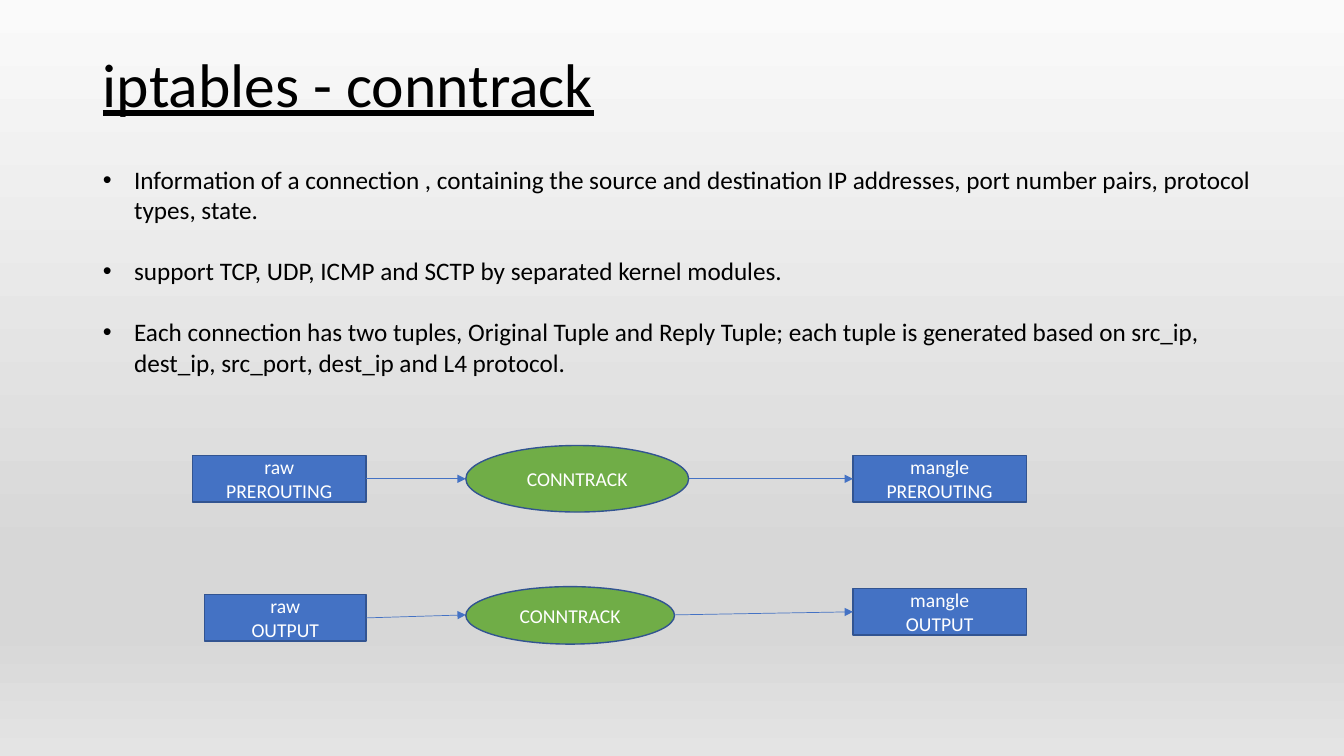
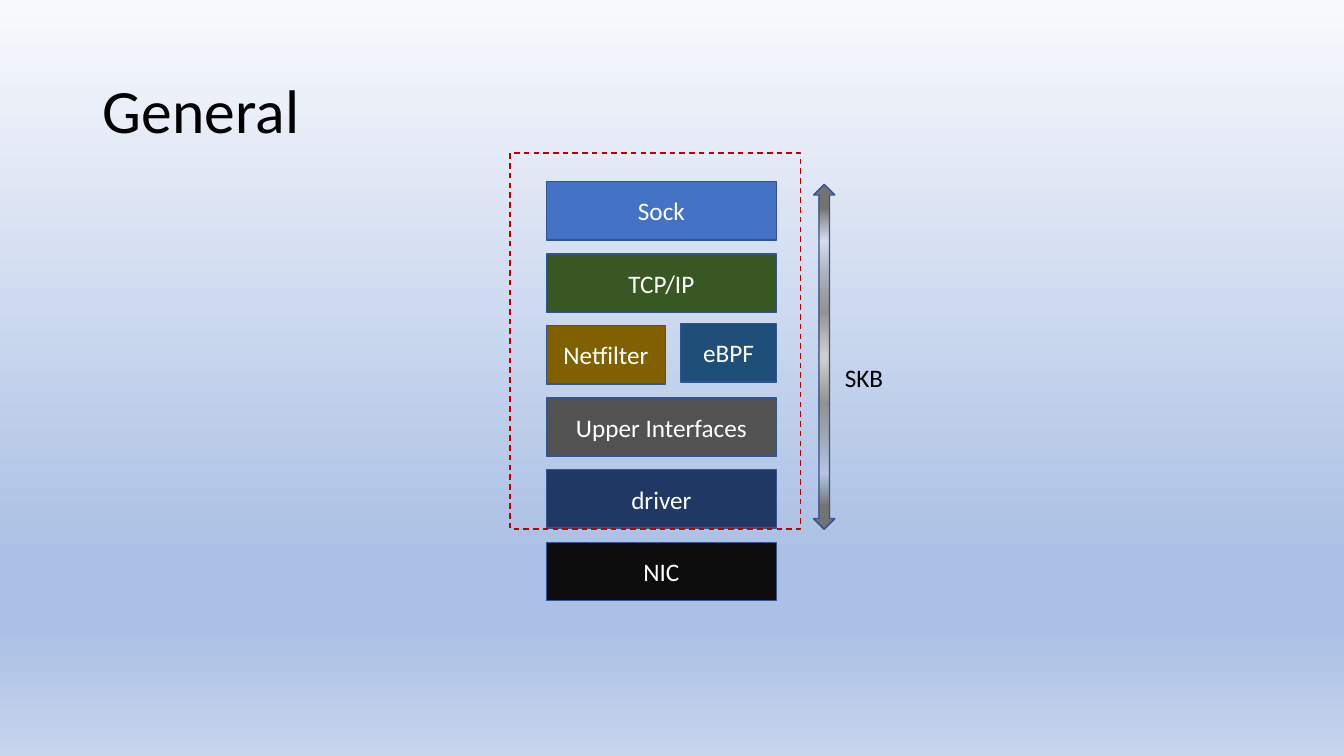
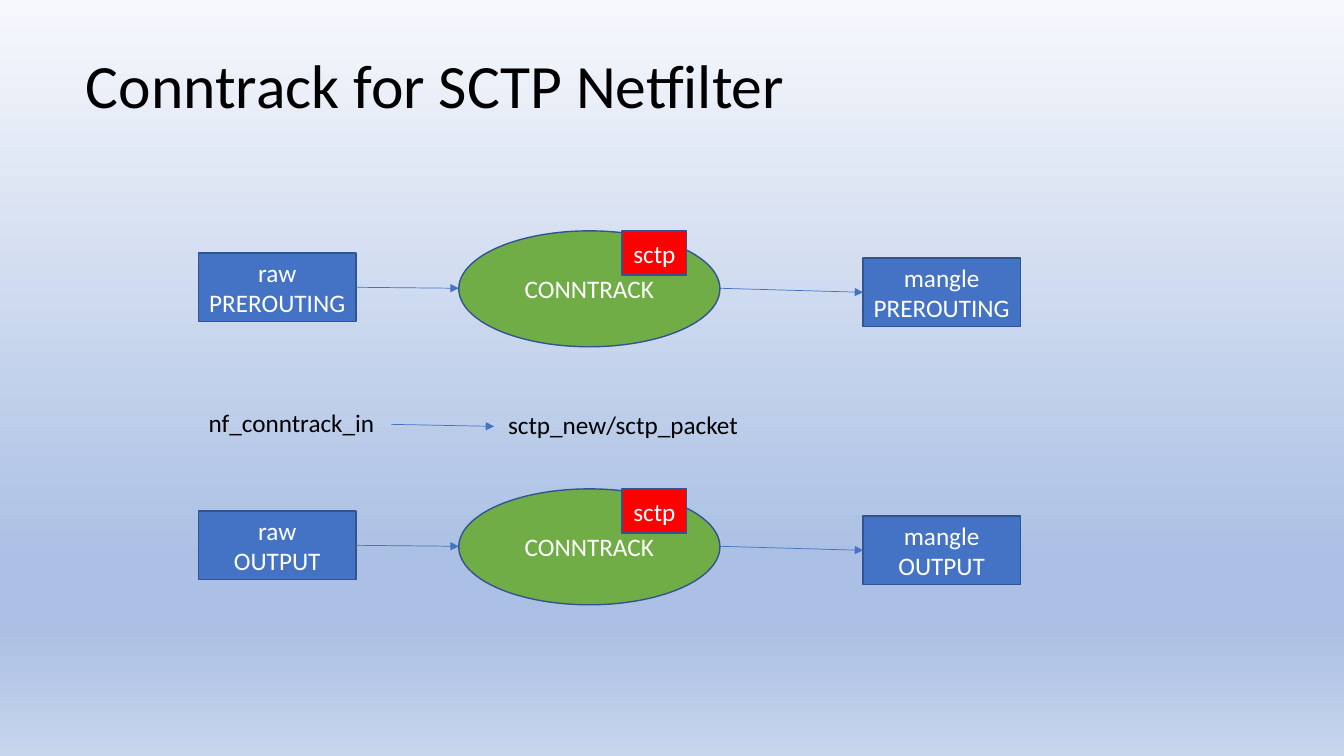
from lxml import etree
from pptx import Presentation
from pptx.dml.color import RGBColor
from pptx.enum.dml import MSO_LINE
from pptx.enum.shapes import MSO_CONNECTOR, MSO_SHAPE
from pptx.enum.text import MSO_ANCHOR, MSO_AUTO_SIZE, PP_ALIGN
from pptx.oxml.ns import qn
from pptx.util import Pt

RECT, ELLIPSE, UP_DOWN = MSO_SHAPE.RECTANGLE, MSO_SHAPE.OVAL, MSO_SHAPE.UP_DOWN_ARROW
STRAIGHT, DASH = MSO_CONNECTOR.STRAIGHT, MSO_LINE.DASH
LEFT, CENTER = PP_ALIGN.LEFT, PP_ALIGN.CENTER
TOP, MIDDLE = MSO_ANCHOR.TOP, MSO_ANCHOR.MIDDLE
NO_FIT = MSO_AUTO_SIZE.NONE
LEFT_SIDE, RIGHT_SIDE = 1, 3
TITLE_AND_BODY, TITLE_ONLY = 1, 5

FONT = "Calibri"
BLACK, WHITE, RED = "000000", "FFFFFF", "FF0000"
BLUE, GREEN, OUTLINE, DARK_RED = "4472C4", "70AD47", "325491", "C00000"


def px(length):
    return length * 9144


def color(value):
    return RGBColor.from_string(value)


class Deck:
    def __init__(self):
        self.file = Presentation()
        self.file.slide_width, self.file.slide_height = px(1333), px(750)
        self.slide = None

    def new_slide(self, layout, top, middle, bottom):
        self.slide = self.file.slides.add_slide(self.file.slide_layouts[layout])
        stops = [(0, top, 100), (74, middle, 100), (83, middle, 100), (100, bottom, 100)]
        self.gradient(self.slide.background.fill, self.slide.element, stops)

    def gradient(self, fill, owner, stops, radial=False):
        fill.gradient()
        grad = owner.find(".//" + qn("a:gradFill"))
        for child in list(grad):
            grad.remove(child)
        stop_list = etree.SubElement(grad, qn("a:gsLst"))
        for position, value, opacity in stops:
            stop = etree.SubElement(stop_list, qn("a:gs"), pos=str(position * 1000))
            tone = etree.SubElement(stop, qn("a:srgbClr"), val=value)
            if opacity < 100:
                etree.SubElement(tone, qn("a:alpha"), val=str(opacity * 1000))
        if radial:
            circle = etree.SubElement(grad, qn("a:path"), path="circle")
            etree.SubElement(circle, qn("a:fillToRect"), l="50000", t="50000", r="50000", b="50000")
        else:
            etree.SubElement(grad, qn("a:lin"), ang="5400000", scaled="0")

    def place(self, shape, area):
        shape.left, shape.top, shape.width, shape.height = map(px, area)

    def style(self, paragraph, size, tone, align=LEFT):
        paragraph.alignment = align
        font = paragraph.font
        font.name, font.size = FONT, Pt(size)
        font.color.rgb = color(tone)

    def title(self, text, left, top, underline=None):
        title = self.slide.shapes.title
        self.place(title, (left, top, 1150, 145))
        frame = title.text_frame
        frame.text = text
        frame.auto_size, frame.vertical_anchor = NO_FIT, MIDDLE
        heading = frame.paragraphs[0]
        heading.line_spacing = 0.9
        self.style(heading, 44, BLACK)
        heading.font.underline = underline

    def bullets(self, items, area):
        body = self.slide.placeholders[1]
        self.place(body, area)
        frame = body.text_frame
        frame.text = "\n".join(items)
        frame.auto_size, frame.vertical_anchor = NO_FIT, TOP
        for index, item in enumerate(frame.paragraphs):
            item.space_before = Pt(22 if index else 0)
            properties = item._p.get_or_add_pPr()
            properties.set("marL", str(px(31)))
            properties.set("indent", str(px(-31)))
            etree.SubElement(properties, qn("a:buFont"), typeface="Arial")
            etree.SubElement(properties, qn("a:buChar"), char="•")
            self.style(item, 18, BLACK)

    def shape(self, area, kind=RECT, fill=None, text="", size=18, outline=OUTLINE):
        shape = self.slide.shapes.add_shape(kind, *map(px, area))
        shape.shadow.inherit = False
        if fill:
            shape.fill.solid()
            shape.fill.fore_color.rgb = color(fill)
        else:
            shape.fill.background()
        shape.line.color.rgb = color(outline)
        shape.line.width = Pt(1)
        if text:
            shape.text_frame.text = text
            for line in shape.text_frame.paragraphs:
                self.style(line, size, WHITE, CENTER)
        return shape

    def label(self, text, area):
        frame = self.slide.shapes.add_textbox(*map(px, area)).text_frame
        frame.word_wrap = False
        frame.text = text
        self.style(frame.paragraphs[0], 18, BLACK)

    def arrow(self, start, end, source=None, target=None):
        arrow = self.slide.shapes.add_connector(STRAIGHT, *map(px, start + end))
        if source:
            arrow.begin_connect(source, RIGHT_SIDE)
        if target:
            arrow.end_connect(target, LEFT_SIDE)
        arrow.line.color.rgb = color(BLUE)
        arrow.line.width = Pt(0.5)
        properties = arrow.element.spPr
        etree.SubElement(properties.find(qn("a:ln")), qn("a:tailEnd"), type="triangle")
        etree.SubElement(properties, qn("a:effectLst"))

    def flow(self, chain, raw_area, track_area, mangle_area, size):
        raw = self.shape(raw_area, RECT, BLUE, f"raw\n{chain}", size)
        mangle = self.shape(mangle_area, RECT, BLUE, f"mangle\n{chain}", size)
        track = self.shape(track_area, ELLIPSE, GREEN, "CONNTRACK", size)
        left, top, width, height = track_area
        middle = top + height // 2
        entry, leave = (left, middle), (left + width, middle)
        self.arrow(entry, entry, source=raw)
        self.arrow(leave, leave, target=mangle)
        return track


def iptables_slide(deck):
    deck.new_slide(TITLE_AND_BODY, "FAFAFA", "D7D7D7", "E4E4E4")
    deck.title("iptables - conntrack", 92, 14, underline=True)
    deck.bullets([
        "Information of a connection , containing the source and destination IP addresses, "
        "port number pairs, protocol types, state.",
        "support TCP, UDP, ICMP and SCTP by separated kernel modules.",
        "Each connection has two tuples, Original Tuple and Reply Tuple; each tuple is "
        "generated based on src_ip, dest_ip, src_port, dest_ip and L4 protocol.",
    ], (92, 158, 1161, 283))
    deck.flow("PREROUTING", (191, 452, 172, 46), (462, 442, 221, 66), (846, 452, 172, 46), 14)
    deck.flow("OUTPUT", (203, 590, 160, 46), (462, 582, 207, 57), (846, 584, 172, 46), 14)


def general_slide(deck):
    deck.new_slide(TITLE_ONLY, "F8F9FD", "ABC0E4", "C7D5ED")
    deck.title("General", 92, 40)
    layers = [
        ("Sock", BLUE, 228),
        ("TCP/IP", "385723", 228),
        ("Netfilter", "806000", 118),
        ("Upper Interfaces", "525252", 228),
        ("driver", "203864", 228),
        ("NIC", "0D0D0D", 228),
    ]
    for index, (name, fill, width) in enumerate(layers):
        deck.shape((542, round(180 + 71.6 * index), width, 58), RECT, fill, name)
    deck.shape((675, 321, 95, 58), RECT, "1F4E79", "eBPF")
    skb_span = deck.shape((807, 183, 21, 342), UP_DOWN)
    deck.gradient(skb_span.fill, skb_span.element, [
        (2, "CECECE", 100), (26, "939393", 100), (67, "7C7C7C", 2), (86, "747474", 100),
    ], radial=True)
    deck.label("SKB", (828, 355, 59, 40))
    kernel_frame = deck.shape((506, 152, 288, 373), outline=DARK_RED)
    kernel_frame.line.dash_style = DASH


def sctp_slide(deck):
    deck.new_slide(TITLE_ONLY, "F6F8FC", "ABC0E4", "C7D5ED")
    deck.title("Conntrack for SCTP Netfilter", 75, 15)
    for chain, top in (("PREROUTING", 229), ("OUTPUT", 485)):
        track = deck.flow(chain, (197, top + 22, 156, 68), (455, top, 259, 115),
                          (856, top + 27, 156, 68), 18)
        sctp = deck.shape((617, top, 64, 44), RECT, RED, "sctp")
        deck.slide.shapes.add_group_shape([track, sctp])
    deck.label("nf_conntrack_in", (197, 399, 187, 40))
    deck.label("sctp_new/sctp_packet", (494, 401, 252, 40))
    deck.arrow((388, 421), (490, 423))


def main():
    deck = Deck()
    iptables_slide(deck)
    general_slide(deck)
    sctp_slide(deck)
    deck.file.save("out.pptx")


if __name__ == "__main__":
    main()
